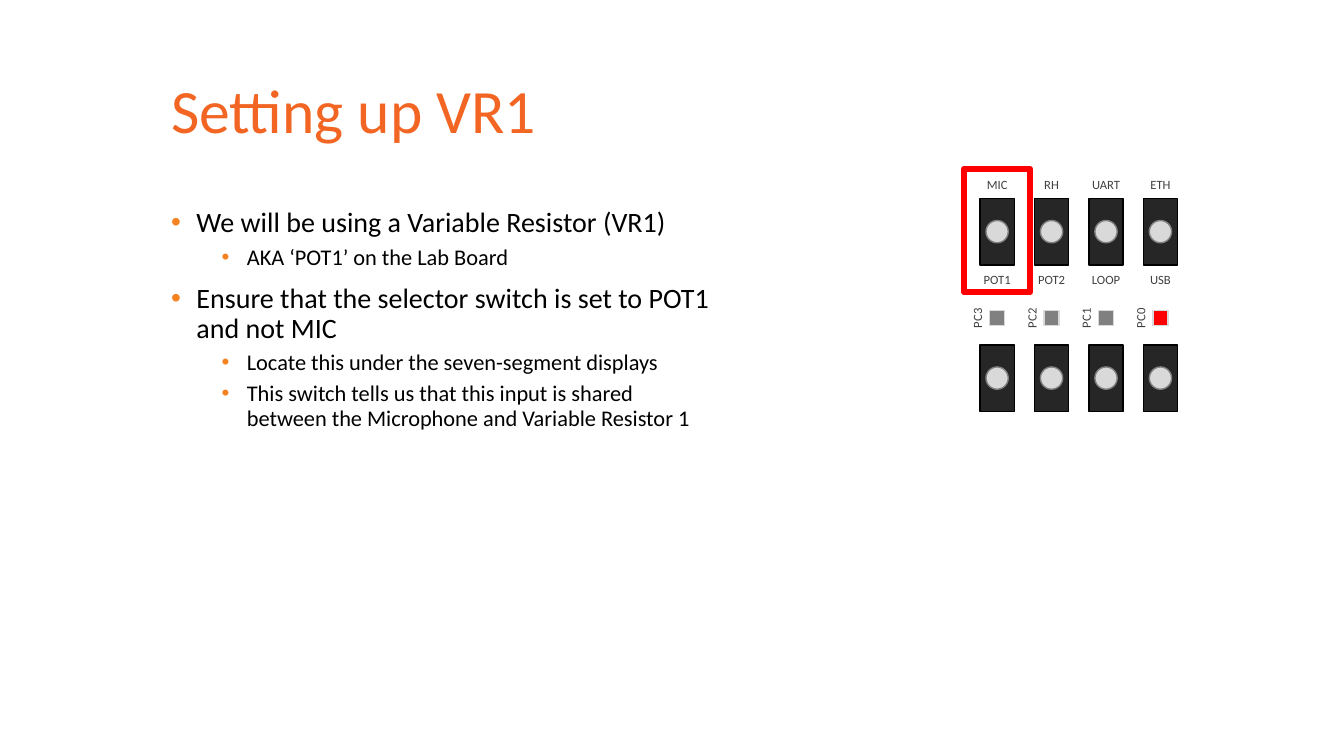
from lxml.etree import SubElement
from pptx import Presentation
from pptx.dml.color import RGBColor
from pptx.enum.shapes import MSO_SHAPE
from pptx.enum.text import MSO_ANCHOR, PP_ALIGN
from pptx.oxml.ns import qn
from pptx.util import Inches, Pt

CELL = Inches(0.1)
COLORS = {
    "title": "F26522", "body": "000000", "bullet": "F58220", "label": "404040",
    "switch": "262626", "switch_edge": "000000", "knob": "D9D9D9",
    "knob_edge": "808080", "led_off": "808080", "led_on": "FF0000",
    "led_edge": "D9D9D9", "highlight": "FF0000",
}
BULLETS = [
    (0, "We will be using a Variable Resistor (VR1)"),
    (1, "AKA ‘POT1’ on the Lab Board"),
    (0, "Ensure that the selector switch is set to POT1 and not MIC"),
    (1, "Locate this under the seven-segment displays"),
    (1, "This switch tells us that this input is shared between "
        "the Microphone and Variable Resistor 1"),
]
# Upper label, lower label, LED label, LED colour
SWITCHES = [
    ("MIC", "POT1", "PC3", "led_off"),
    ("RH", "POT2", "PC2", "led_off"),
    ("UART", "LOOP", "PC1", "led_off"),
    ("ETH", "USB", "PC0", "led_on"),
]


def color(name):
    return RGBColor.from_string(COLORS[name])


def cells(*lengths):
    return [round(length * CELL) for length in lengths]


def centered(x, y, width, height):
    return x - width / 2, y - height / 2, width, height


def add_text_frame(slide, box, anchor=MSO_ANCHOR.TOP, rotation=0, wrap=True):
    shape = slide.shapes.add_textbox(*cells(*box))
    shape.rotation = rotation
    shape.text_frame.word_wrap = wrap
    shape.text_frame.vertical_anchor = anchor
    return shape.text_frame


def write(paragraph, text, size, fill, align=PP_ALIGN.LEFT, spacing=None, before=None):
    paragraph.alignment = align
    paragraph.line_spacing = spacing
    if before is not None:
        paragraph.space_before = Pt(before)
    run = paragraph.add_run()
    run.text = text
    run.font.name = "Calibri"
    run.font.size = Pt(size)
    run.font.color.rgb = color(fill)


def add_bullet(paragraph, margin):
    properties = paragraph._p.get_or_add_pPr()
    properties.set("marL", str(Inches(margin)))
    properties.set("indent", str(-Inches(0.25)))
    bullet_color = SubElement(properties, qn("a:buClr"))
    SubElement(bullet_color, qn("a:srgbClr"), val=COLORS["bullet"])
    SubElement(properties, qn("a:buFont"), typeface="Arial")
    SubElement(properties, qn("a:buChar"), char="•")


def add_shape(slide, kind, box, fill, edge, weight=1):
    shape = slide.shapes.add_shape(kind, *cells(*box))
    shape.shadow.inherit = False
    if fill:
        shape.fill.solid()
        shape.fill.fore_color.rgb = color(fill)
    else:
        shape.fill.background()
    shape.line.color.rgb = color(edge)
    shape.line.width = Pt(weight)


def add_title(slide, box):
    frame = add_text_frame(slide, box, anchor=MSO_ANCHOR.MIDDLE)
    write(frame.paragraphs[0], "Setting up VR1", 44, "title", spacing=0.9)


def add_body(slide, box):
    frame = add_text_frame(slide, box)
    for index, (level, text) in enumerate(BULLETS):
        paragraph = frame.add_paragraph() if index else frame.paragraphs[0]
        paragraph.level = level
        write(paragraph, text, (20, 16)[level], "body",
              spacing=0.9, before=(10, 5)[level])
        add_bullet(paragraph, (0.25, 0.75)[level])


def add_label(slide, box, text, **options):
    frame = add_text_frame(slide, box, **options)
    write(frame.paragraphs[0], text, 9, "label", align=PP_ALIGN.CENTER)


def add_switch(slide, x, y, column):
    add_shape(slide, MSO_SHAPE.RECTANGLE,
              centered(x, y, 0.63 * column, 1.22 * column), "switch", "switch_edge")
    add_shape(slide, MSO_SHAPE.OVAL,
              centered(x, y, 0.41 * column, 0.41 * column), "knob", "knob_edge")


def add_switch_panel(slide, left, top, width):
    """Draw the switches; every length is a share of one panel column."""
    column = width / len(SWITCHES)
    for index, (upper, lower, port, led) in enumerate(SWITCHES):
        x = left + (index + 0.5) * column
        for y in (1.09, 3.78):
            add_switch(slide, x, top + y * column, column)
        for y, text in ((0.23, upper), (1.96, lower)):
            add_label(slide, centered(x, top + y * column, column, 0.46 * column), text)
        led_y = top + 2.68 * column
        add_shape(slide, MSO_SHAPE.RECTANGLE,
                  centered(x, led_y, 0.28 * column, 0.28 * column), led, "led_edge")
        add_label(slide, centered(x - 0.37 * column, led_y, 0.74 * column, 0.46 * column),
                  port, rotation=270, wrap=False)
    add_shape(slide, MSO_SHAPE.RECTANGLE,
              centered(left + column / 2, top + 1.07 * column, 1.22 * column, 2.26 * column),
              None, "highlight", weight=4.5)


def main():
    presentation = Presentation()
    presentation.slide_width = Inches(13.33)
    presentation.slide_height = Inches(7.5)
    slide = presentation.slides.add_slide(presentation.slide_layouts[6])
    add_title(slide, (16, 4, 115, 14.5))
    add_body(slide, (16, 20.2, 56.1, 49.9))
    add_switch_panel(slide, left=96.2, top=17.1, width=21.6)
    presentation.save("out.pptx")


if __name__ == "__main__":
    main()
